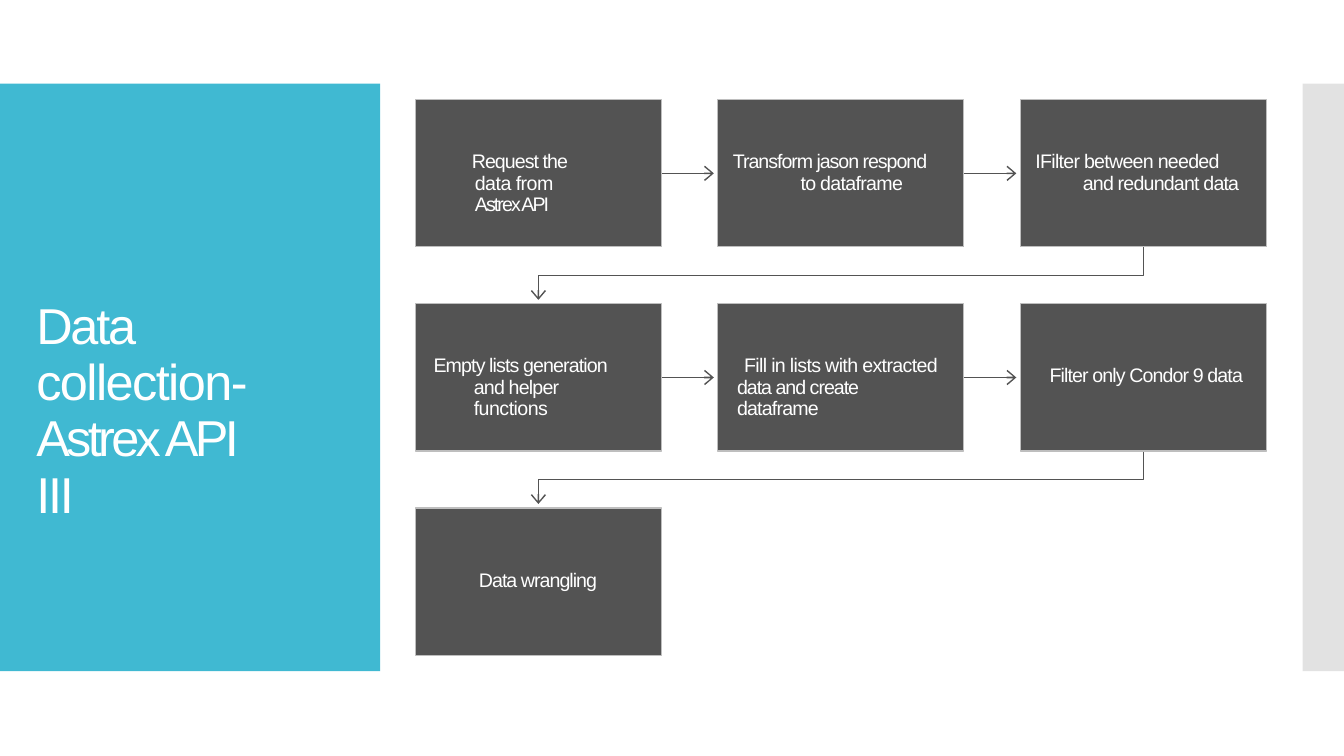
from dataclasses import dataclass
from itertools import pairwise

from lxml.etree import SubElement
from pptx import Presentation
from pptx.dml.color import RGBColor
from pptx.enum.shapes import MSO_CONNECTOR as Connector, MSO_SHAPE as Preset
from pptx.enum.text import MSO_ANCHOR as Anchor, PP_ALIGN as Align
from pptx.oxml.ns import qn
from pptx.util import Inches, Pt


@dataclass(frozen=True)
class Theme:
    """Colours, font and type sizes of the slide."""
    accent: str = "40B9D2"
    strip: str = "C7C7C7"
    card: str = "535353"
    border: str = "BEBEBE"
    text: str = "FFFFFF"
    font: str = "Arial"
    title_size: float = 36
    card_size: float = 14
    border_width: float = 0.85
    arrow_width: float = 1.2


@dataclass(frozen=True)
class Box:
    """A rectangle in inches."""
    left: float
    top: float
    width: float
    height: float

    @property
    def center(self):
        """Return the middle point."""
        return self.left + self.width / 2, self.top + self.height / 2

    def emu(self):
        """Return left, top, width and height as lengths."""
        return [Inches(v) for v in (self.left, self.top, self.width, self.height)]


THEME = Theme()
WIDTH, HEIGHT = 13.33, 7.5
COLUMNS, ROWS = 3, 3
CARD_WIDTH, CARD_HEIGHT = 2.44, 1.46
ARROW_GAP = 0.04

TITLE = [("Data", -1.6), ("collection-", -1.1), ("Astrex API", -2.6), ("III", -1.6)]
STEPS = [
    (0.59, -0.03, [("Request the", -0.7), ("data from", -0.4), ("Astrex API", -1.4)]),
    (0.82, -0.67, [("Transform jason respond", -0.77), ("to dataframe", -0.5)]),
    (0.62, -0.47, [("IFilter between needed", -0.53), ("and redundant data", -0.6)]),
    (0.58, -0.4, [("Empty lists generation", -0.65), ("and helper", -0.6), ("functions", -0.4)]),
    (0.19, 0.07, [("Fill in lists with extracted", -0.47), ("data and create", -0.75),
                  ("dataframe", -0.6)]),
    (0.29, 0, [("Filter only Condor 9 data", -0.65)]),
    (0.63, 0, [("Data wrangling", -0.7)]),
]


def write(shape, lines, *, size, top, margin=0, indent=0, spacing=1.0):
    """Write lines of (text, tracking) as one left-aligned paragraph."""
    frame = shape.text_frame
    frame.word_wrap = True
    frame.vertical_anchor = Anchor.TOP
    frame.margin_left = frame.margin_right = frame.margin_bottom = 0
    frame.margin_top = Inches(top)
    para = frame.paragraphs[0]
    para.alignment = Align.LEFT
    para.line_spacing = spacing
    properties = para._p.get_or_add_pPr()
    properties.set("marL", str(Inches(margin)))
    properties.set("indent", str(Inches(indent)))
    for number, (text, tracking) in enumerate(lines):
        if number:
            para.add_line_break()
        span = para.add_run()
        span.text = text
        span.font.name = THEME.font
        span.font.size = Pt(size)
        span.font.color.rgb = RGBColor.from_string(THEME.text)
        span._r.get_or_add_rPr().set("spc", str(round(tracking * 100)))


def add_block(page, box, color, border=None):
    """Add a flat rectangle with an optional border."""
    block = page.shapes.add_shape(Preset.RECTANGLE, *box.emu())
    block.shadow.inherit = False
    block.fill.solid()
    block.fill.fore_color.rgb = RGBColor.from_string(color)
    if border:
        block.line.color.rgb = RGBColor.from_string(border)
        block.line.width = Pt(THEME.border_width)
    else:
        block.line.fill.background()
    return block


def add_arrow(page, points):
    """Draw an open-headed arrow through the given points."""
    points = [(Inches(x), Inches(y)) for x, y in points]
    if len(points) == 2:
        arrow = page.shapes.add_connector(Connector.STRAIGHT, *points[0], *points[1])
        SubElement(arrow._element.spPr, qn("a:effectLst"))
    else:
        builder = page.shapes.build_freeform(*points[0])
        builder.add_line_segments(points[1:], close=False)
        arrow = builder.convert_to_shape()
        arrow.shadow.inherit = False
        arrow.fill.background()
    arrow.line.color.rgb = RGBColor.from_string(THEME.card)
    arrow.line.width = Pt(THEME.arrow_width)
    SubElement(arrow.line._get_or_add_ln(), qn("a:tailEnd"), type="arrow", w="lg", len="med")


def title_panel(page, box):
    """Add the coloured panel with the title."""
    add_block(page, box, THEME.accent)
    title = page.shapes.add_textbox(*Box(box.left + 0.36, box.top + 2, 2.68, 2.3).emu())
    write(title, TITLE, size=THEME.title_size, top=0.14, spacing=0.93)


def side_strip(page, box):
    """Add the half-transparent strip at the right edge."""
    strip = add_block(page, box, THEME.strip)
    color = strip.fill._xPr.find(qn("a:solidFill"))[0]
    SubElement(color, qn("a:alpha"), val="50000")


def step_card(page, box, step):
    """Add one process step."""
    margin, indent, lines = step
    card = add_block(page, box, THEME.card, THEME.border)
    single = len(lines) == 1
    write(card, lines, size=THEME.card_size, top=0.59 if single else 0.51,
          margin=margin, indent=indent, spacing=1.0 if single else Pt(15.4))


def link(page, start, end):
    """Join two steps, going round to the next row where needed."""
    (start_x, start_y), (end_x, end_y) = start.center, end.center
    if start.top == end.top:
        points = [(start.left + start.width, start_y), (end.left - ARROW_GAP, end_y)]
    else:
        bottom = start.top + start.height
        middle = (bottom + end.top) / 2
        points = [(start_x, bottom), (start_x, middle), (end_x, middle),
                  (end_x, end.top - ARROW_GAP)]
    add_arrow(page, points)


def process_flow(page, box):
    """Lay the steps out in a grid and connect them in order."""
    column_pitch = (box.width - CARD_WIDTH) / (COLUMNS - 1)
    row_pitch = (box.height - CARD_HEIGHT) / (ROWS - 1)
    cards = []
    for number in range(len(STEPS)):
        row, column = divmod(number, COLUMNS)
        cards.append(Box(box.left + column * column_pitch, box.top + row * row_pitch,
                         CARD_WIDTH, CARD_HEIGHT))
    for start, end in pairwise(cards):
        link(page, start, end)
    for card, step in zip(cards, STEPS):
        step_card(page, card, step)


def main():
    """Build and save the deck."""
    deck = Presentation()
    deck.slide_width, deck.slide_height = Inches(WIDTH), Inches(HEIGHT)
    page = deck.slides.add_slide(deck.slide_layouts[6])
    title_panel(page, Box(0, 0.83, 3.77, 5.83))
    side_strip(page, Box(12.92, 0.83, WIDTH - 12.92, 5.83))
    process_flow(page, Box(4.12, 0.99, 8.44, 5.51))
    deck.save("out.pptx")


if __name__ == "__main__":
    main()
